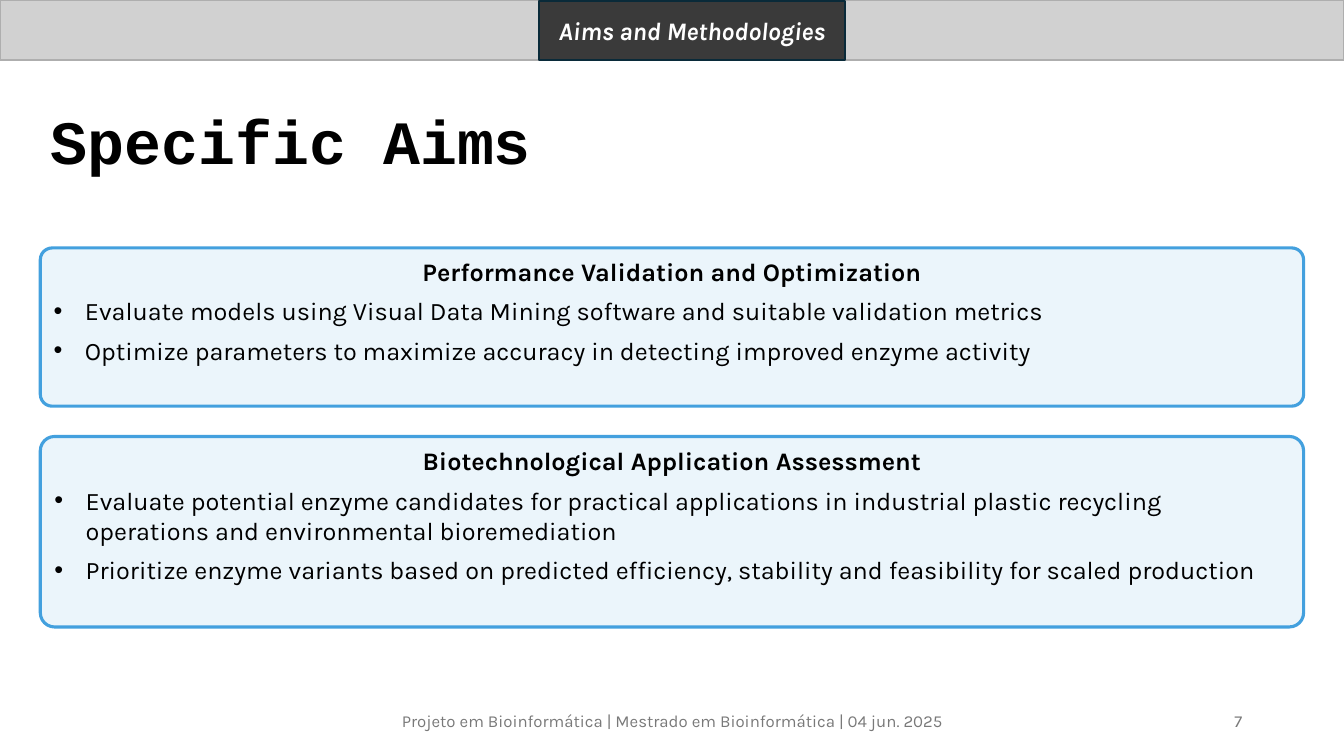
import pptx
import pptx.dml.color
import pptx.enum.shapes
import pptx.enum.text
import pptx.util
from lxml import etree

Inches = pptx.util.Inches
Pt = pptx.util.Pt
RGBColor = pptx.dml.color.RGBColor
SHAPE = pptx.enum.shapes.MSO_SHAPE
ALIGN = pptx.enum.text.PP_ALIGN
ANCHOR = pptx.enum.text.MSO_ANCHOR

BLACK = RGBColor(0x00, 0x00, 0x00)
WHITE = RGBColor(0xFF, 0xFF, 0xFF)
BAND_FILL = RGBColor(0xD1, 0xD1, 0xD1)
BAND_LINE = RGBColor(0xAE, 0xAE, 0xAE)
TAB_FILL = RGBColor(0x3A, 0x3A, 0x3A)
TAB_LINE = RGBColor(0x09, 0x2A, 0x39)
CARD_FILL = RGBColor(0xEB, 0xF5, 0xFB)
CARD_LINE = RGBColor(0x43, 0xA0, 0xDE)
FOOTER_GREY = RGBColor(0x79, 0x79, 0x79)

AIMS = [
    (2.46, 1.57, "Performance Validation and Optimization", [
        "Evaluate models using Visual Data Mining software and suitable validation metrics",
        "Optimize parameters to maximize accuracy in detecting improved enzyme activity",
    ]),
    (4.33, 1.89, "Biotechnological Application Assessment", [
        "Evaluate potential enzyme candidates for practical applications in industrial "
        "plastic recycling operations and environmental bioremediation",
        "Prioritize enzyme variants based on predicted efficiency, stability and "
        "feasibility for scaled production",
    ]),
]


def write(paragraph, text, size, color, font="Karla", bold=False, italic=False,
          align=ALIGN.LEFT):
    paragraph.text = text
    paragraph.alignment = align
    for run in paragraph.runs:
        run.font.name = font
        run.font.size = Pt(size)
        run.font.color.rgb = color
        run.font.bold = bold
        run.font.italic = italic


def add_bullet(paragraph):
    properties = paragraph._p.get_or_add_pPr()
    properties.set("marL", str(Inches(0.31)))
    properties.set("indent", str(Inches(-0.31)))
    for tag, attribute, value in (("a:buFont", "typeface", "Arial"),
                                  ("a:buChar", "char", "•")):
        etree.SubElement(properties, pptx.oxml.ns.qn(tag)).set(attribute, value)


def add_panel(slide, preset, left, top, width, height, fill, line, line_width):
    panel = slide.shapes.add_shape(preset, Inches(left), Inches(top),
                                   Inches(width), Inches(height))
    panel.shadow.inherit = False
    panel.fill.solid()
    panel.fill.fore_color.rgb = fill
    panel.line.color.rgb = line
    panel.line.width = Pt(line_width)
    panel.text_frame.word_wrap = True
    return panel


def add_title(slide, text):
    title = slide.shapes.title
    title.left, title.top = Inches(0.4), Inches(0.71)
    title.width, title.height = Inches(11.5), Inches(1.45)
    title.text_frame.vertical_anchor = ANCHOR.MIDDLE
    heading = title.text_frame.paragraphs[0]
    write(heading, text, 44, BLACK, font="Courier New", bold=True)
    heading.line_spacing = 0.9


def add_section_header(slide, section):
    add_panel(slide, SHAPE.RECTANGLE, 0, 0, 13.33, 0.6, BAND_FILL, BAND_LINE, 1.5)
    tab = add_panel(slide, SHAPE.RECTANGLE, 5.35, 0.01, 3.03, 0.59,
                    TAB_FILL, TAB_LINE, 1.5)
    tab.text_frame.vertical_anchor = ANCHOR.MIDDLE
    write(tab.text_frame.paragraphs[0], section, 18, WHITE, bold=True, italic=True,
          align=ALIGN.CENTER)


def add_aim_card(slide, top, height, heading, points):
    card = add_panel(slide, SHAPE.ROUNDED_RECTANGLE, 0.4, top, 12.53, height,
                     CARD_FILL, CARD_LINE, 2.25)
    card.adjustments[0] = 0.075
    frame = card.text_frame
    frame.vertical_anchor = ANCHOR.TOP
    write(frame.paragraphs[0], heading, 18, BLACK, bold=True, align=ALIGN.CENTER)
    for point in points:
        paragraph = frame.add_paragraph()
        write(paragraph, point, 18, BLACK)
        paragraph.space_before = Pt(6.5)
        add_bullet(paragraph)


def add_footer_text(slide, left, width, text, align):
    footer = slide.shapes.add_textbox(Inches(left), Inches(6.95),
                                      Inches(width), Inches(0.4))
    footer.text_frame.word_wrap = True
    footer.text_frame.vertical_anchor = ANCHOR.MIDDLE
    write(footer.text_frame.paragraphs[0], text, 12, FOOTER_GREY, align=align)


def main():
    presentation = pptx.Presentation()
    presentation.slide_width = Inches(13.33)
    presentation.slide_height = Inches(7.5)
    slide = presentation.slides.add_slide(presentation.slide_layouts[5])

    add_title(slide, "Specific Aims")
    add_section_header(slide, "Aims and Methodologies")
    for top, height, heading, points in AIMS:
        add_aim_card(slide, top, height, heading, points)
    add_footer_text(slide, 0.92, 11.5,
                    "Projeto em Bioinformática | Mestrado em Bioinformática | 04 jun. 2025",
                    ALIGN.CENTER)
    add_footer_text(slide, 9.42, 3, "7", ALIGN.RIGHT)

    presentation.save("out.pptx")


if __name__ == "__main__":
    main()
